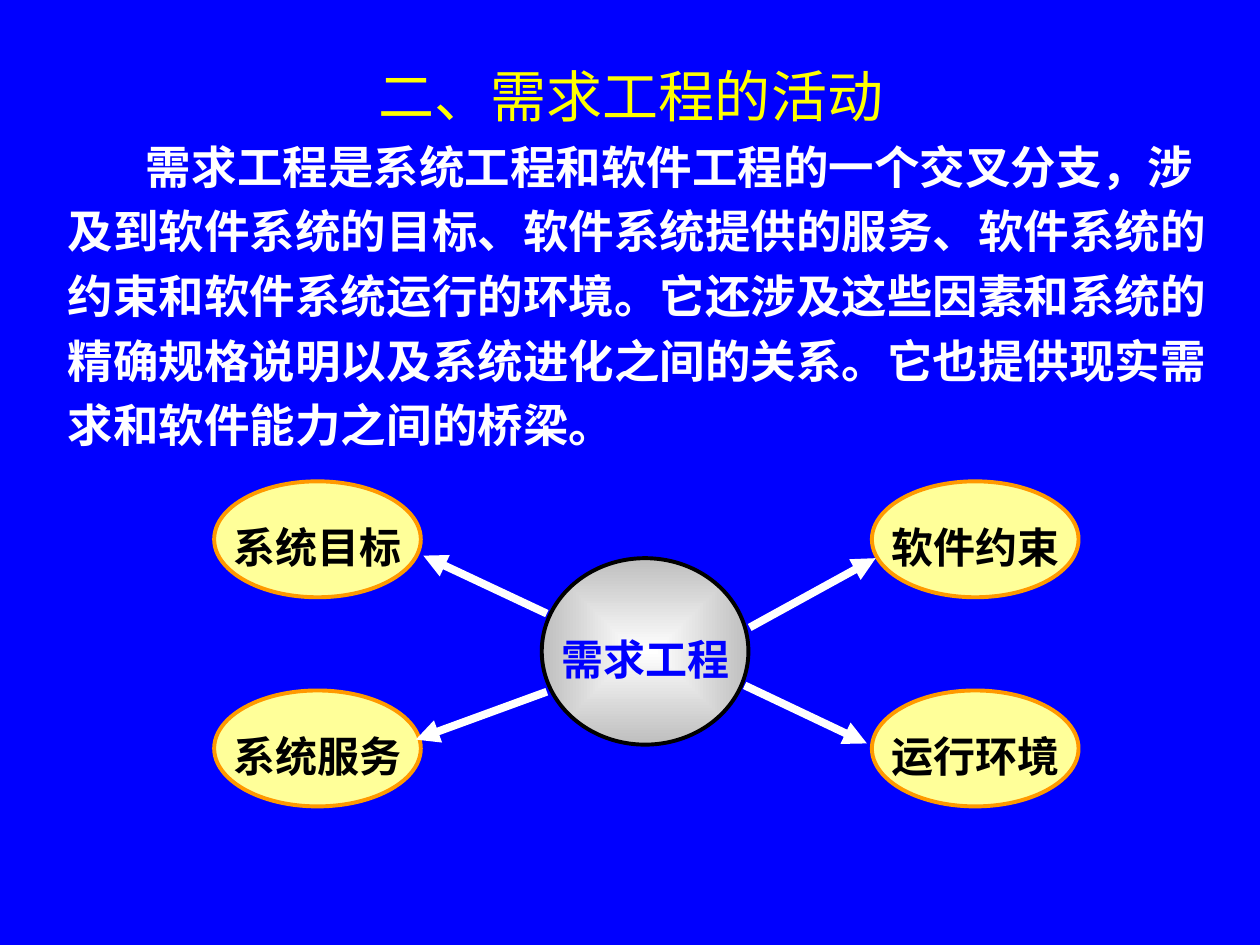
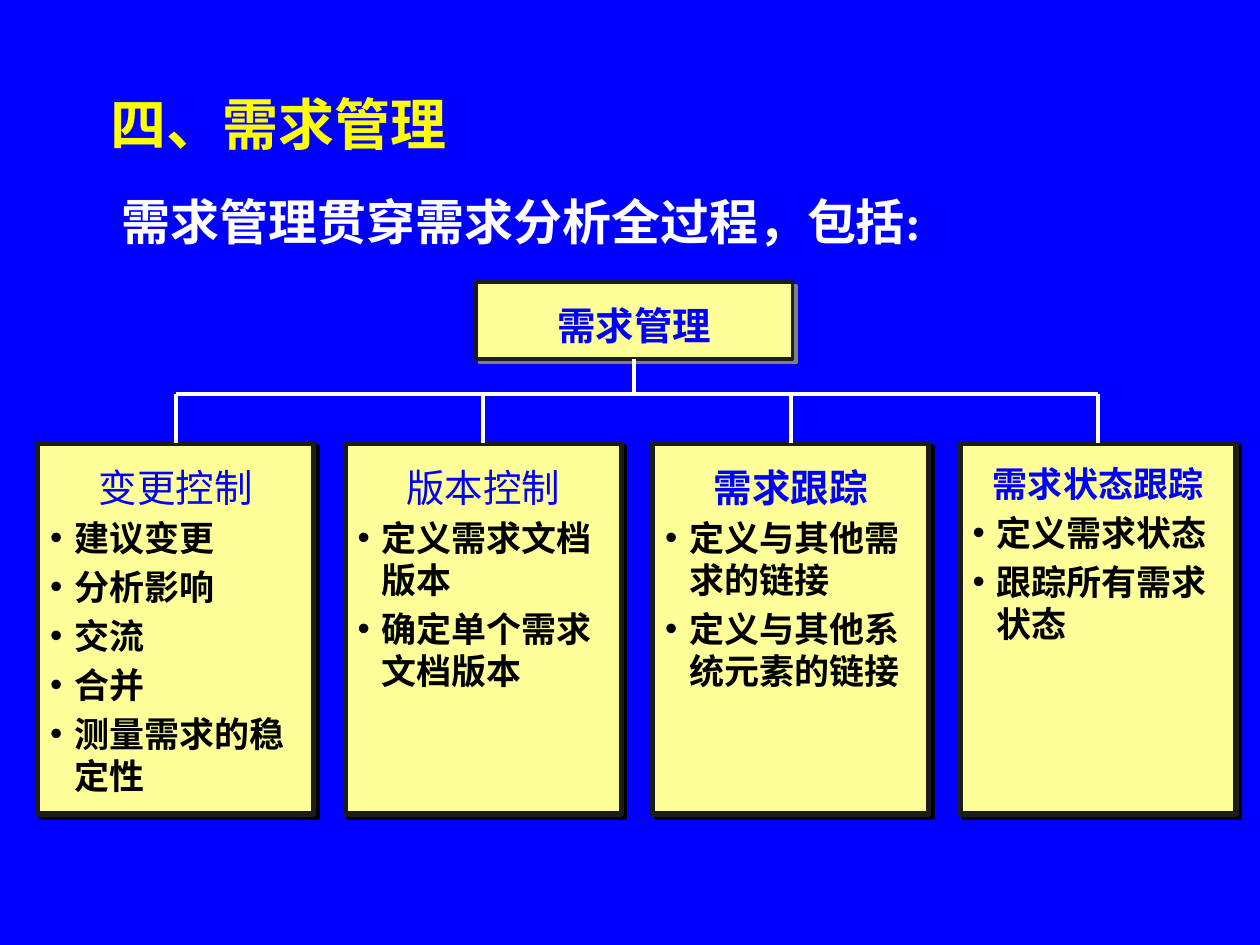
from dataclasses import dataclass

from lxml import etree
from pptx import Presentation
from pptx.dml.color import RGBColor
from pptx.enum.shapes import MSO_CONNECTOR as Connector, MSO_SHAPE as Shape
from pptx.enum.text import MSO_ANCHOR as Anchor, MSO_AUTO_SIZE as AutoSize, PP_ALIGN as Align
from pptx.oxml.ns import qn
from pptx.util import Inches, Pt

BLUE, YELLOW, WHITE, BLACK = "0000FF", "FFFF00", "FFFFFF", "000000"
CREAM, ORANGE, CHARCOAL, GRAY, SILVER = "FFFF99", "FF9900", "1C1C1C", "808080", "BEBEBE"
TIMES, SANS_SC, SANS_JP = "Times New Roman", "Noto Sans CJK SC", "Noto Sans CJK JP"


@dataclass(frozen=True)
class Box:
    left: float
    top: float
    width: float
    height: float

    def lengths(self) -> list:
        return [Inches(v) for v in (self.left, self.top, self.width, self.height)]


@dataclass(frozen=True)
class Style:
    size: int
    color: str
    bold: bool = True
    font: str = TIMES
    align: Align = Align.LEFT
    spacing: float = 1.0
    before: float = 0  # points
    indent: float = 0  # first line, inches
    hanging: float = 0  # inches


@dataclass(frozen=True)
class Activity:
    label: str
    left: float
    top: float
    arrow_from: tuple[float, float]
    arrow_to: tuple[float, float]


@dataclass(frozen=True)
class Column:
    heading: str
    items: tuple[str, ...]
    size: int = 22
    bold: bool = True


ELLIPSE_W, ELLIPSE_H = 1.64, 0.92
LEFT_X, RIGHT_X, UPPER_Y, LOWER_Y = 1.7, 6.92, 3.82, 5.48
ACTIVITIES = [
    Activity("系统目标", LEFT_X, UPPER_Y, (4.34, 4.87), (3.36, 4.41)),
    Activity("系统服务", LEFT_X, LOWER_Y, (4.34, 5.49), (3.3, 5.87)),
    Activity("软件约束", RIGHT_X, UPPER_Y, (5.95, 4.98), (6.95, 4.43)),
    Activity("运行环境", RIGHT_X, LOWER_Y, (5.91, 5.44), (6.88, 5.9)),
]
OVERVIEW = [
    "需求工程是系统工程和软件工程的一个交叉分支，涉",
    "及到软件系统的目标、软件系统提供的服务、软件系统的",
    "约束和软件系统运行的环境。它还涉及这些因素和系统的",
    "精确规格说明以及系统进化之间的关系。它也提供现实需",
    "求和软件能力之间的桥梁。",
]
COLUMNS = [
    Column("变更控制", ("建议变更", "分析影响", "交流", "合并", "测量需求的稳定性"), bold=False),
    Column("版本控制", ("定义需求文档版本", "确定单个需求文档版本"), bold=False),
    Column("需求跟踪", ("定义与其他需求的链接", "定义与其他系统元素的链接")),
    Column("需求状态跟踪", ("定义需求状态", "跟踪所有需求状态"), size=20),
]
COLUMN_X, COLUMN_Y, COLUMN_STEP, COLUMN_W, COLUMN_H = 0.3, 3.52, 2.44, 2.19, 2.94
BAR_Y = 3.13


def rgb(color: str) -> RGBColor:
    return RGBColor.from_string(color)


def child(parent, tag: str, **attributes):
    element = etree.SubElement(parent, qn(tag))
    for key, value in attributes.items():
        element.set(key, str(value))
    return element


def format_paragraph(paragraph, text: str, style: Style, first: bool = True) -> None:
    properties = paragraph._p.get_or_add_pPr()
    if style.hanging:
        properties.set("marL", str(Inches(style.hanging)))
        properties.set("indent", str(-Inches(style.hanging)))
        child(properties, "a:buFont", typeface="Arial")
        child(properties, "a:buChar", char="•")
    elif style.indent:
        properties.set("indent", str(Inches(style.indent)))
    paragraph.text = text
    paragraph.alignment = style.align
    paragraph.line_spacing = style.spacing
    paragraph.space_before = Pt(0 if first else style.before)
    for run in paragraph.runs:
        run.font.size, run.font.bold, run.font.name = Pt(style.size), style.bold, style.font
        run.font.color.rgb = rgb(style.color)


def write(shape, lines: list[tuple[str, Style]], anchor: Anchor = Anchor.TOP,
          wrap: bool = True) -> None:
    frame = shape.text_frame
    frame.auto_size = AutoSize.NONE
    frame.word_wrap = wrap
    frame.vertical_anchor = anchor
    for index, (text, style) in enumerate(lines):
        paragraph = frame.add_paragraph() if index else frame.paragraphs[0]
        format_paragraph(paragraph, text, style, first=index == 0)


def add_titled_slide(prs, title: str, box: Box, style: Style):
    slide = prs.slides.add_slide(prs.slide_layouts[5])
    heading = slide.shapes.title
    heading.left, heading.top, heading.width, heading.height = box.lengths()
    write(heading, [(title, style)], Anchor.MIDDLE)
    return slide


def add_text(slide, box: Box, lines: list[tuple[str, Style]]) -> None:
    write(slide.shapes.add_textbox(*box.lengths()), lines)


def add_outlined(slide, kind: Shape, box: Box, line: str, weight: float):
    shape = slide.shapes.add_shape(kind, *box.lengths())
    shape.shadow.inherit = False
    shape.fill.solid()
    shape.fill.fore_color.rgb = rgb(CREAM)
    shape.line.color.rgb = rgb(line)
    shape.line.width = Pt(weight)
    return shape


def drop_shadow(shape, color: str) -> None:
    effects = shape._element.spPr.find(qn("a:effectLst"))
    shadow = child(effects, "a:outerShdw", blurRad=0, dist=Pt(2.8), dir=45 * 60000,
                   algn="ctr", rotWithShape=0)
    child(shadow, "a:srgbClr", val=color)


def radiate(shape, center: str, edge: str) -> None:
    """Fill with a gradient that runs from the middle to the outline."""
    shape.fill.gradient()
    for stop, color in zip(shape.fill.gradient_stops, (center, edge)):
        stop.color.rgb = rgb(color)
    gradient = shape._element.spPr.find(qn("a:gradFill"))
    gradient.remove(gradient.find(qn("a:lin")))
    focus = child(gradient, "a:path", path="shape")
    child(focus, "a:fillToRect", l=50000, t=50000, r=50000, b=50000)


def add_line(slide, start: tuple[float, float], end: tuple[float, float],
             weight: float, arrow: bool = False):
    points = [Inches(v) for v in (*start, *end)]
    connector = slide.shapes.add_connector(Connector.STRAIGHT, *points)
    connector.line.color.rgb = rgb(WHITE)
    connector.line.width = Pt(weight)
    if arrow:
        child(connector.line._get_or_add_ln(), "a:tailEnd", type="triangle")
    child(connector._element.spPr, "a:effectLst")
    return connector


def build_activities(prs) -> None:
    slide = add_titled_slide(prs, "二、需求工程的活动", Box(0.76, 0.44, 8.5, 0.63),
                             Style(32, YELLOW, bold=False, align=Align.CENTER))
    opening = Style(26, WHITE, font=SANS_SC, spacing=1.1, indent=0.62)
    following = Style(26, WHITE, font=SANS_SC, spacing=1.1, before=2.6)
    styles = [opening] + [following] * (len(OVERVIEW) - 1)
    add_text(slide, Box(0.44, 1.01, 9.39, 2.66), list(zip(OVERVIEW, styles)))

    hub = add_outlined(slide, Shape.OVAL, Box(4.3, 4.43, 1.64, 1.48), BLACK, 2.25)
    radiate(hub, WHITE, SILVER)
    hub_style = Style(24, BLUE, align=Align.CENTER, spacing=1.3)
    write(hub, [("需求工程", hub_style)], Anchor.MIDDLE, wrap=False)

    activity_style = Style(24, BLACK, align=Align.CENTER, spacing=1.3)
    for activity in ACTIVITIES:
        box = Box(activity.left, activity.top, ELLIPSE_W, ELLIPSE_H)
        ellipse = add_outlined(slide, Shape.OVAL, box, ORANGE, 2.25)
        write(ellipse, [(activity.label, activity_style)], Anchor.MIDDLE, wrap=False)
        add_line(slide, activity.arrow_from, activity.arrow_to, 4.5, arrow=True)


def build_management(prs) -> None:
    slide = add_titled_slide(prs, "四、需求管理", Box(0, 0.51, 8.5, 0.93),
                             Style(32, YELLOW, font=SANS_JP, indent=0.78))
    add_text(slide, Box(0.44, 1.33, 9.27, 0.71),
             [("需求管理贯穿需求分析全过程，包括:", Style(28, WHITE, spacing=1.3, indent=0.43))])

    root_box = Box(3.78, 2.24, 2.51, 0.61)
    root = add_outlined(slide, Shape.RECTANGLE, root_box, CHARCOAL, 2.25)
    drop_shadow(root, GRAY)
    write(root, [("需求管理", Style(22, BLUE, align=Align.CENTER, spacing=1.3))])
    root_x = root_box.left + root_box.width / 2
    trunk = add_line(slide, (root_x, root_box.top + root_box.height), (root_x, BAR_Y), 2.25)
    trunk.begin_connect(root, 2)

    item_style = Style(20, BLACK, before=4, hanging=0.19)
    centers = [COLUMN_X + i * COLUMN_STEP + COLUMN_W / 2 for i in range(len(COLUMNS))]
    add_line(slide, (centers[0], BAR_Y), (centers[-1], BAR_Y), 2.25)
    for column, center in zip(COLUMNS, centers):
        box = Box(center - COLUMN_W / 2, COLUMN_Y, COLUMN_W, COLUMN_H)
        card = add_outlined(slide, Shape.RECTANGLE, box, CHARCOAL, 3)
        drop_shadow(card, BLACK)
        heading_style = Style(column.size, BLUE, column.bold, align=Align.CENTER, spacing=1.3)
        write(card, [(column.heading, heading_style)]
              + [(item, item_style) for item in column.items])
        branch = add_line(slide, (center, BAR_Y), (center, COLUMN_Y), 2.25)
        branch.end_connect(card, 0)


def main() -> None:
    prs = Presentation()
    prs.slide_width, prs.slide_height = Inches(10), Inches(7.5)
    background = prs.slide_master.background.fill
    background.solid()
    background.fore_color.rgb = rgb(BLUE)
    build_activities(prs)
    build_management(prs)
    prs.save("out.pptx")


if __name__ == "__main__":
    main()
